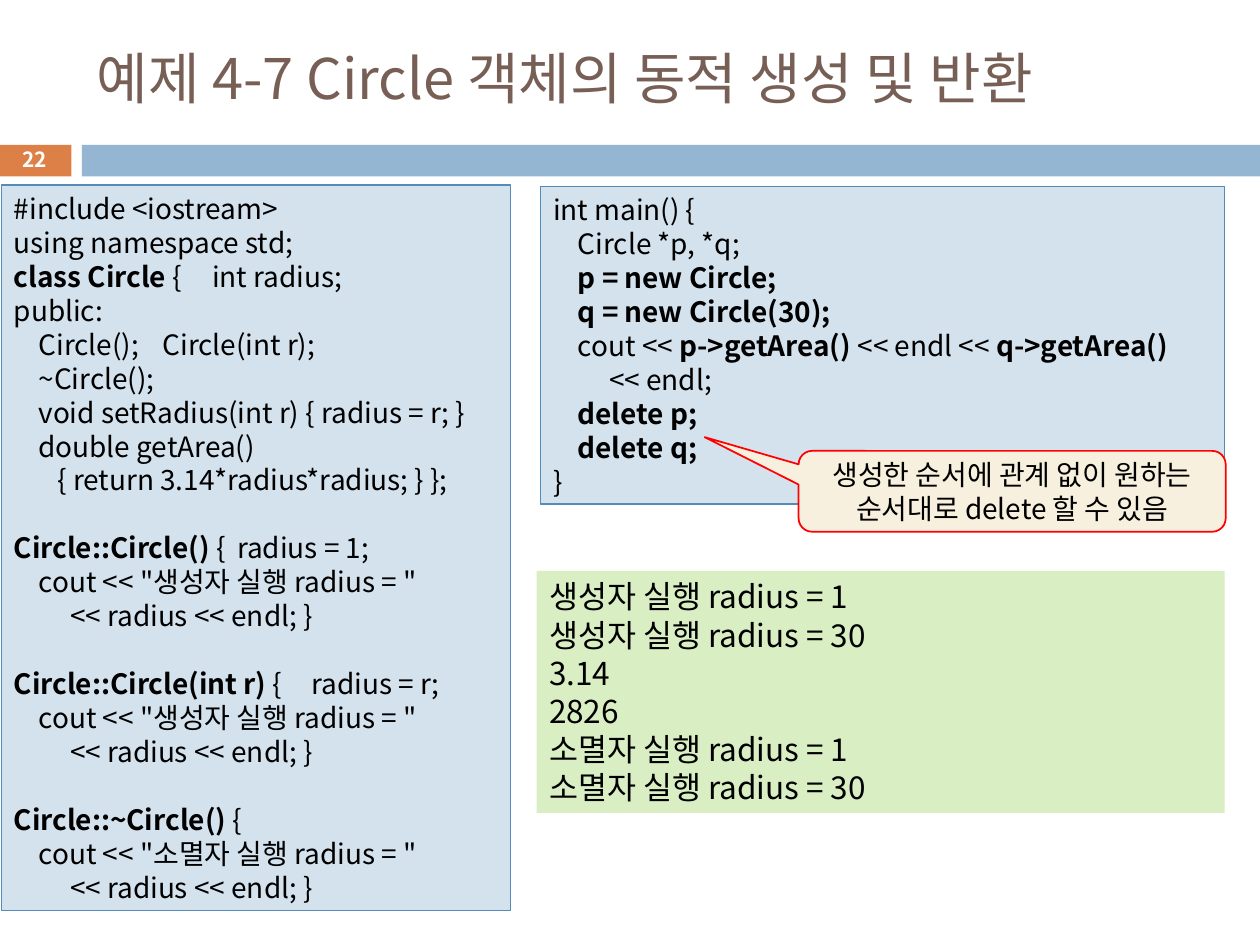
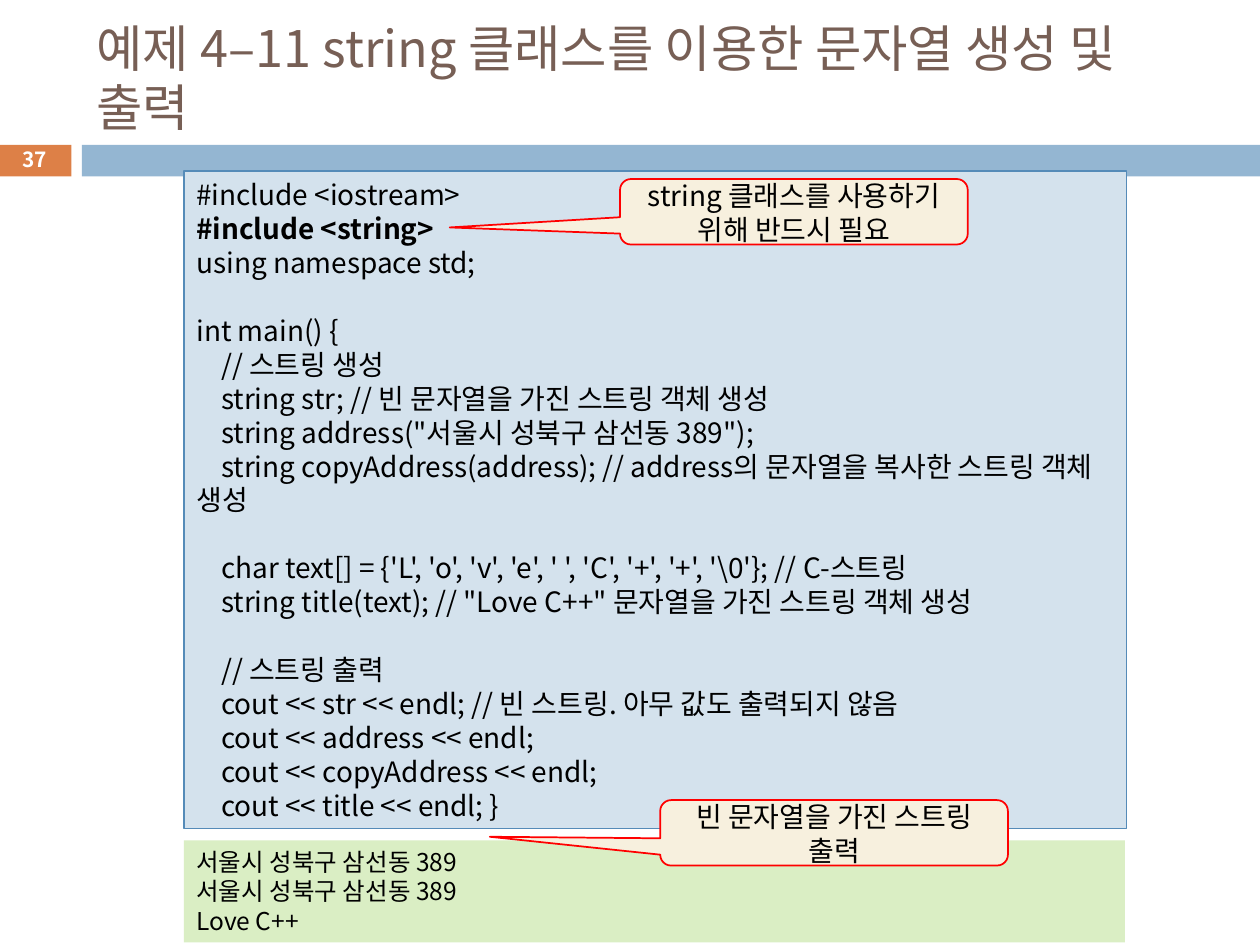
from collections import namedtuple
from dataclasses import dataclass

from lxml.etree import SubElement
from pptx import Presentation
from pptx.dml.color import RGBColor as Rgb
from pptx.enum.shapes import MSO_SHAPE as Preset
from pptx.enum.text import MSO_ANCHOR as Anchor, PP_ALIGN as Align
from pptx.oxml.ns import qn
from pptx.util import Cm, Pt

Box = namedtuple("Box", "left top width height")


@dataclass(frozen=True)
class Theme:
    font: str = "Noto Sans CJK KR"
    text: str = "000000"
    title: str = "775F55"
    number: str = "FFFFFF"
    number_band: str = "DD8047"
    title_band: str = "94B6D2"
    code_fill: str = "D4E2ED"
    code_line: str = "558BB8"
    output_fill: str = "DAEEC4"
    note_fill: str = "F7F0DE"
    note_line: str = "FF0000"
    code_size: float = 16
    number_size: float = 11.9
    line_height: float = 1.21
    title_line_height: float = 1.16
    tab_step: float = 0.5
    tab_count: int = 12


THEME = Theme()

CIRCLE_CLASS = """#include <iostream>
using namespace std;
**class Circle **{ \tint radius;
public:
\tCircle(); \tCircle(int r);
\t~Circle();
\tvoid setRadius(int r) { radius = r; }
\tdouble getArea()
       { return 3.14*radius*radius; } };

**Circle::Circle() **{ \tradius = 1;
\tcout << "생성자 실행 radius = "
         << radius << endl; }

**Circle::Circle(int r) **{ \tradius = r;
\tcout << "생성자 실행 radius = "
         << radius << endl; }

**Circle::~Circle() **{
\tcout << "소멸자 실행 radius = "
         << radius << endl; }"""

CIRCLE_MAIN = """int main() {
\tCircle *p, *q;
\t**p = new Circle;**
\t**q = new Circle(30);**
\tcout << **p->getArea() **<< endl << **q->getArea()**
         << endl;
\t**delete p;**
\t**delete q;**
}"""

CIRCLE_OUTPUT = """생성자 실행 radius = 1
생성자 실행 radius = 30
3.14
2826
소멸자 실행 radius = 1
소멸자 실행 radius = 30"""

STRING_CODE = """#include <iostream>
**#include <string>**
using namespace std;

int main() {
\t// 스트링 생성
\tstring str; // 빈 문자열을 가진 스트링 객체 생성
\tstring address("서울시 성북구 삼선동 389");
\tstring copyAddress(address); // address의 문자열을 복사한 스트링 객체 생성

\tchar text[] = {'L', 'o', 'v', 'e', ' ', 'C', '+', '+', '\\0'}; // C-스트링
\tstring title(text); // "Love C++" 문자열을 가진 스트링 객체 생성

\t// 스트링 출력
\tcout << str << endl; // 빈 스트링. 아무 값도 출력되지 않음
\tcout << address << endl;
\tcout << copyAddress << endl;
\tcout << title << endl; }"""

STRING_OUTPUT = """서울시 성북구 삼선동 389
서울시 성북구 삼선동 389
Love C++"""


def in_cm(box):
    return [Cm(length) for length in box]


def add_panel(slide, box, fill, line=None, line_width=0.75, preset=Preset.RECTANGLE):
    panel = slide.shapes.add_shape(preset, *in_cm(box))
    panel.shadow.inherit = False
    panel.fill.solid()
    panel.fill.fore_color.rgb = Rgb.from_string(fill)
    if line:
        panel.line.color.rgb = Rgb.from_string(line)
        panel.line.width = Pt(line_width)
    else:
        panel.line.fill.background()
    return panel


def add_tab_stops(paragraph):
    stops = SubElement(paragraph._p.get_or_add_pPr(), qn("a:tabLst"))
    for number in range(1, THEME.tab_count + 1):
        SubElement(stops, qn("a:tab"), pos=str(Cm(number * THEME.tab_step)), algn="l")


def style_paragraph(paragraph, size, color, bold=None):
    font = paragraph.font
    font.size = Pt(size)
    font.bold = bold
    font.name = THEME.font
    font.color.rgb = Rgb.from_string(color)
    defaults = paragraph._p.pPr.find(qn("a:defRPr"))
    SubElement(defaults, qn("a:ea"), typeface=THEME.font)


def write_lines(shape, text, size, color=THEME.text, bold=None, align=Align.LEFT,
                anchor=Anchor.TOP, line_height=THEME.line_height):
    """Write one paragraph a line; ** toggles bold, a blank line becomes space before."""
    frame = shape.text_frame
    frame.word_wrap = True
    frame.vertical_anchor = anchor
    spacing = Pt(round(size * line_height, 1))
    paragraph, gap = frame.paragraphs[0], False
    for index, line in enumerate(text.split("\n")):
        if not line:
            gap = True
            continue
        if index:
            paragraph = frame.add_paragraph()
        paragraph.alignment = align
        paragraph.line_spacing = spacing
        if gap:
            paragraph.space_before = spacing
            gap = False
        if "\t" in line:
            add_tab_stops(paragraph)
        style_paragraph(paragraph, size, color, bold)
        for part, words in enumerate(line.split("**")):
            if words:
                run = paragraph.add_run()
                run.text = words
                if part % 2:
                    run.font.bold = True


def add_header(slide, box, title, title_size, number):
    """Place the title above the two bands that close the bottom of the box."""
    band_height, number_width, gap = 0.64, 1.47, 0.21
    band_top = box.top + box.height - band_height
    number_box = Box(box.left - 0.03, band_top, number_width, band_height)
    band_left = number_box.left + number_width + gap
    add_panel(slide, number_box, THEME.number_band)
    add_panel(slide, Box(band_left, band_top, box.left + box.width - band_left, band_height),
              THEME.title_band)

    heading = slide.shapes.add_textbox(*in_cm(Box(box.left + 1.7, box.top + 0.63, 22.66, 1.88)))
    write_lines(heading, title, title_size, THEME.title, anchor=Anchor.MIDDLE,
                line_height=THEME.title_line_height)
    page = slide.shapes.add_textbox(*in_cm(number_box._replace(top=band_top - 0.05, height=0.69)))
    write_lines(page, number, THEME.number_size, THEME.number, bold=True,
                align=Align.CENTER, anchor=Anchor.MIDDLE)


def add_code(slide, box, code):
    panel = add_panel(slide, box, THEME.code_fill, THEME.code_line)
    write_lines(panel, code, THEME.code_size)


def add_output(slide, box, output, size):
    write_lines(add_panel(slide, box, THEME.output_fill), output, size)


def add_note(slide, box, words, tip):
    """Add a callout whose tip is given as shares of its size from its centre."""
    note = add_panel(slide, box, THEME.note_fill, THEME.note_line, 1,
                     Preset.ROUNDED_RECTANGULAR_CALLOUT)
    note.adjustments[0], note.adjustments[1] = tip
    write_lines(note, words, THEME.code_size, align=Align.CENTER, anchor=Anchor.MIDDLE)


def build_circle_slide(slide, header):
    add_header(slide, header, "예제 4-7 Circle 객체의 동적 생성 및 반환", 32, "22")
    add_code(slide, Box(0.03, 3.73, 10.26, 14.63), CIRCLE_CLASS)
    add_code(slide, Box(10.9, 3.76, 13.79, 6.4), CIRCLE_MAIN)
    add_output(slide, Box(10.82, 11.51, 13.87, 4.88), CIRCLE_OUTPUT, 18)
    add_note(slide, Box(16.1, 9.09, 8.61, 1.63),
             "생성한 순서에 관계 없이 원하는 순서대로 delete 할 수 있음", (-0.72, -0.67))


def build_string_slide(slide, header):
    add_header(slide, header, "예제 4–11 string 클래스를 이용한 문자열 생성 및 출력", 28.8, "37")
    add_code(slide, Box(3.71, 3.45, 19, 13.26), STRING_CODE)
    add_output(slide, Box(3.71, 16.94, 18.97, 2.06), STRING_OUTPUT, 14)
    add_note(slide, Box(13.31, 16.13, 7.01, 1.32), "빈 문자열을 가진 스트링 출력", (-0.99, 0.06))
    add_note(slide, Box(12.5, 3.61, 7.01, 1.32),
             "string 클래스를 사용하기 위해 반드시 필요", (-0.99, 0.24))


def main():
    deck = Presentation()
    deck.slide_width, deck.slide_height = Cm(25.4), Cm(19.05)
    blank = deck.slide_layouts[6]
    header = Box(0, 0, 25.4, 3.56)
    for build in (build_circle_slide, build_string_slide):
        build(deck.slides.add_slide(blank), header)
    deck.save("out.pptx")


if __name__ == "__main__":
    main()
